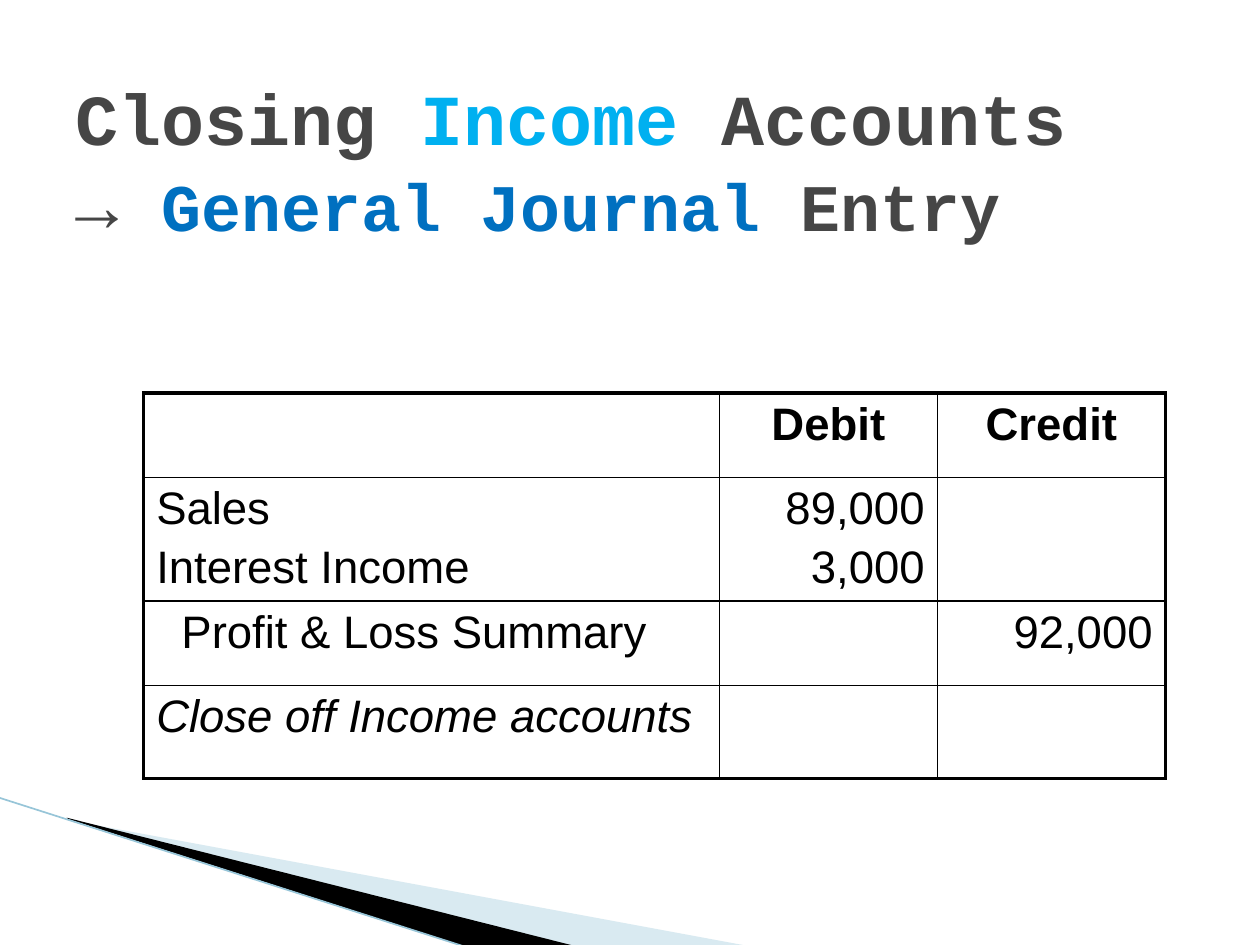
from typing import NamedTuple

from lxml.etree import SubElement
from pptx import Presentation
from pptx.dml.color import RGBColor
from pptx.enum.shapes import MSO_CONNECTOR as Conn
from pptx.enum.text import MSO_ANCHOR as Anchor, PP_ALIGN as Align
from pptx.oxml.ns import qn
from pptx.util import Inches, Pt

BLACK, GREY = "000000", "464646"
THIN, THICK = Pt(1), Pt(2.25)


class Wedge(NamedTuple):
    points: list
    fill: str
    alpha: int = 100


class Entry(NamedTuple):
    lines: list
    align: Align = Align.LEFT
    bold: bool = False
    italic: bool = False
    indent: float = 0


def color(code: str) -> RGBColor:
    return RGBColor.from_string(code)


def write(par, text: str, *, size: float, font: str, tone: str = BLACK,
          bold: bool = False, italic: bool = False) -> None:
    run = par.add_run()
    run.text = text
    face = run.font
    face.size, face.name = Pt(size), font
    face.bold, face.italic = bold, italic
    face.color.rgb = color(tone)


def draw_wedge(slide, wedge: Wedge) -> None:
    start, *rest = [(Inches(x), Inches(y)) for x, y in wedge.points]
    pen = slide.shapes.build_freeform(*start)
    pen.add_line_segments(rest, close=True)
    shape = pen.convert_to_shape()
    shape.shadow.inherit = False
    shape.line.fill.background()
    shape.fill.solid()
    shape.fill.fore_color.rgb = color(wedge.fill)
    if wedge.alpha < 100:
        tint = next(shape.element.spPr.iter(qn("a:srgbClr")))
        SubElement(tint, qn("a:alpha"), val=str(wedge.alpha * 1000))


def draw_edge(slide) -> None:
    line = slide.shapes.add_connector(
        Conn.STRAIGHT, Inches(-0.01), Inches(6.33), Inches(3.71), Inches(7.52))
    line.line.color.rgb = color("97C5D8")
    line.line.width = Pt(0.95)
    SubElement(line.element.spPr, qn("a:effectLst"))


def add_border(cell, side: str, width: int) -> None:
    props = cell._tc.get_or_add_tcPr()
    line = SubElement(props, qn(f"a:ln{side}"), w=str(int(width)))
    fill = SubElement(line, qn("a:solidFill"))
    SubElement(fill, qn("a:srgbClr"), val=BLACK)


def fill_cell(cell, entry: Entry) -> None:
    frame = cell.text_frame
    for num, text in enumerate(entry.lines):
        par = frame.add_paragraph() if num else frame.paragraphs[0]
        par.alignment = entry.align
        if num:
            par.space_before = Pt(4.5)
        if entry.indent:
            par._p.get_or_add_pPr().set("marL", str(Inches(entry.indent)))
        write(par, text, size=26, font="Arial",
              bold=entry.bold, italic=entry.italic)


def draw_table(slide, rows: list, widths: list, heights: list) -> None:
    table = slide.shapes.add_table(
        len(rows), len(widths), Inches(1.14), Inches(3.12),
        Inches(sum(widths)), Inches(sum(heights))).table
    table.first_row = table.horz_banding = False
    for col, width in zip(table.columns, widths):
        col.width = Inches(width)
    for row, height in zip(table.rows, heights):
        row.height = Inches(height)
    for r, row in enumerate(rows):
        for c, entry in enumerate(row):
            cell = table.cell(r, c)
            outer = {"L": c == 0, "R": c == len(widths) - 1,
                     "T": r == 0, "B": r == len(rows) - 1}
            for side, edge in outer.items():
                add_border(cell, side, THICK if edge else THIN)
            cell.fill.background()
            fill_cell(cell, entry)


def draw_title(slide, lines: list) -> None:
    box = slide.shapes.add_textbox(
        Inches(0.5), Inches(0.52), Inches(8.59), Inches(1.5))
    frame = box.text_frame
    frame.word_wrap = True
    frame.vertical_anchor = Anchor.MIDDLE
    par = frame.paragraphs[0]
    for num, line in enumerate(lines):
        if num:
            par.add_line_break()
        for text, size, tone in line:
            write(par, text, size=size, font="Courier New", tone=tone, bold=True)


WEDGES = [
    Wedge([(0.55, 6.51), (5.95, 7.51), (4.56, 7.51), (0.55, 6.5)], "A0CBDC", 40),
    Wedge([(0.53, 6.49), (4.57, 7.51), (3.72, 7.52), (0.54, 6.5)], BLACK),
]
TITLE = [
    [("Closing ", 41, GREY), ("Income", 41, "00B0F0"), (" Accounts", 41, GREY)],
    [("→ ", 41, GREY), ("General Journal ", 38, "0070C0"), ("Entry", 38, GREY)],
]
EMPTY = Entry([])
ROWS = [
    [EMPTY, Entry(["Debit"], Align.CENTER, bold=True),
     Entry(["Credit"], Align.CENTER, bold=True)],
    [Entry(["Sales", "Interest Income"]),
     Entry(["89,000", "3,000"], Align.RIGHT), EMPTY],
    [Entry(["Profit & Loss Summary"], indent=0.2), EMPTY,
     Entry(["92,000"], Align.RIGHT)],
    [Entry(["Close off Income accounts"], italic=True), EMPTY, EMPTY],
]


def main() -> None:
    deck = Presentation()
    deck.slide_width, deck.slide_height = Inches(10), Inches(7.5)
    slide = deck.slides.add_slide(deck.slide_layouts[6])

    # Corner decoration
    for wedge in WEDGES:
        draw_wedge(slide, wedge)
    draw_edge(slide)

    # Journal entry and heading
    draw_table(slide, ROWS, [4.57, 1.73, 1.81], [0.67, 0.98, 0.67, 0.74])
    draw_title(slide, TITLE)
    deck.save("out.pptx")


if __name__ == "__main__":
    main()
